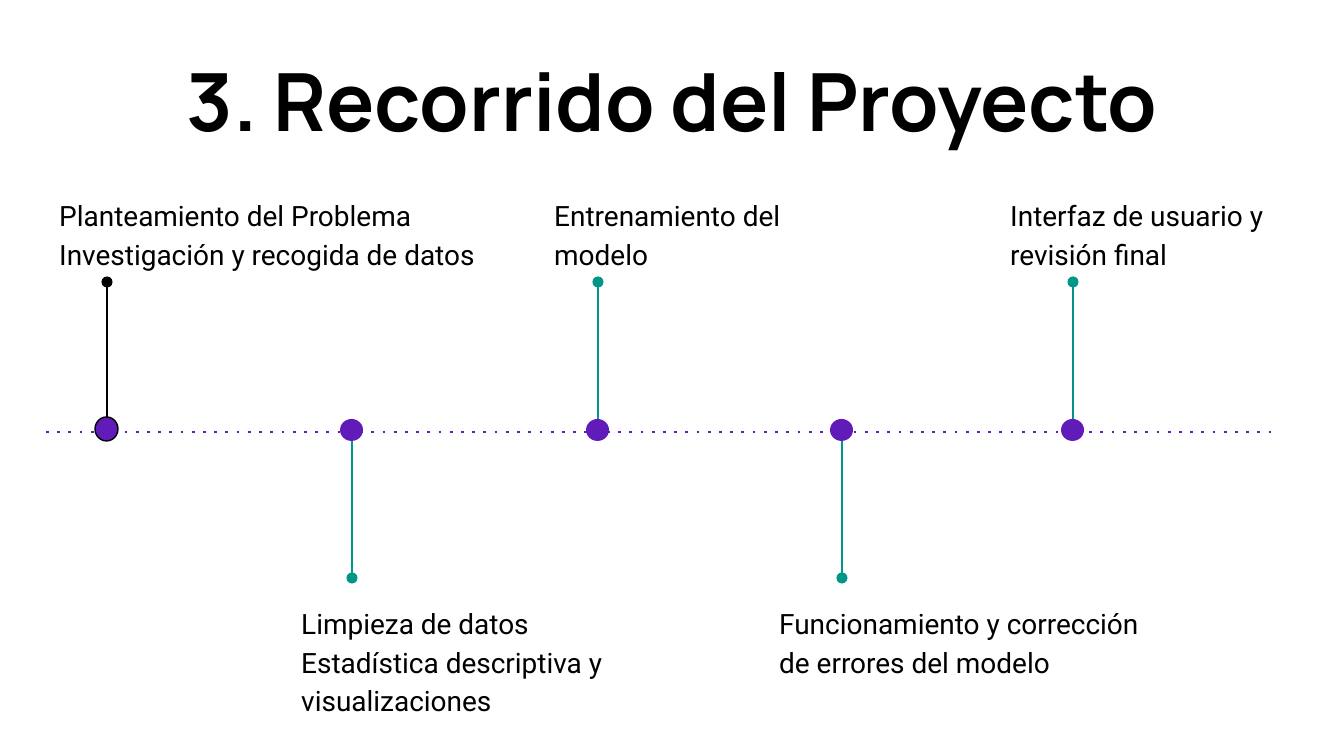
from lxml import etree
from pptx import Presentation, util as u
from pptx.dml.color import RGBColor
from pptx.enum import shapes, text
from pptx.oxml import ns

BLACK = RGBColor(0, 0, 0)
PURPLE = RGBColor(0x61, 0x1B, 0xB8)
TEAL = RGBColor(0x00, 0x96, 0x88)
SCALE = 914400 / 134.4


def px(n):
    return u.Emu(round(n * SCALE))


class Deck:
    def __init__(self, wide, high):
        self.prs = Presentation()
        self.prs.slide_width, self.prs.slide_height = px(wide), px(high)
        self.slide = self.prs.slides.add_slide(self.prs.slide_layouts[6])

    def label(self, box, lines, font="Roboto", size=15, bold=False,
              align=text.PP_ALIGN.LEFT, space=1.15):
        frame = self.slide.shapes.add_textbox(*map(px, box)).text_frame
        frame.word_wrap = True
        frame.vertical_anchor = text.MSO_ANCHOR.TOP
        frame.margin_left = frame.margin_right = u.Inches(0.1)
        frame.margin_top = frame.margin_bottom = u.Inches(0.1)
        frame.text = "\n".join(lines)
        for para in frame.paragraphs:
            para.alignment, para.line_spacing = align, space
            para.font.name, para.font.size = font, u.Pt(size)
            para.font.bold, para.font.color.rgb = bold, BLACK

    def line(self, home, start, end, color, dash=None, tail=None):
        rule = home.shapes.add_connector(
            shapes.MSO_CONNECTOR.STRAIGHT, *map(px, start + end))
        rule.line.color.rgb, rule.line.width = color, u.Pt(1.5)
        ln = rule.line._get_or_add_ln()
        for tag, key, val in (("a:prstDash", "val", dash),
                              ("a:tailEnd", "type", tail)):
            if val:
                etree.SubElement(ln, ns.qn(tag)).set(key, val)
        etree.SubElement(rule._element.spPr, ns.qn("a:effectLst"))

    def dot(self, home, box, edge=None):
        disc = home.shapes.add_shape(shapes.MSO_SHAPE.OVAL, *map(px, box))
        disc.shadow.inherit = False
        disc.fill.solid()
        disc.fill.fore_color.rgb = PURPLE
        if edge is None:
            disc.line.fill.background()
        else:
            disc.line.color.rgb, disc.line.width = edge, u.Pt(0.75)

    def stage(self, x, up, first=False):
        group = self.slide.shapes.add_group_shape()
        top = 417 if first else 419
        start, end = (top, 282) if up else (441, 578)
        disc = (x - 12, top, 23, 441 - top)
        if first:
            self.dot(group, disc, BLACK)
        self.line(group, (x, start), (x, end), BLACK if first else TEAL,
                  tail="oval")
        if not first:
            self.dot(group, disc)


deck = Deck(1344, 756)

# Title and time axis
deck.label((46, 38, 1252, 91), ["3. Recorrido del Proyecto"], "Manrope", 43,
           True, text.PP_ALIGN.CENTER, 1.0)
deck.line(deck.slide, (46, 432), (1272, 432), PURPLE, dash="dot")

# Stages: stem x, text left, text width, lines; they alternate up and down
STAGES = [
    (107, 46, 446, ["Planteamiento del Problema",
                    "Investigación y recogida de datos"]),
    (352, 288, 391, ["Limpieza de datos",
                     "Estadística descriptiva y visualizaciones"]),
    (598, 541, 324, ["Entrenamiento del modelo"]),
    (842, 766, 391, ["Funcionamiento y corrección de errores del modelo"]),
    (1073, 997, 324, ["Interfaz de usuario y revisión final"]),
]
for i, (x, left, wide, lines) in enumerate(STAGES):
    up = i % 2 == 0
    deck.stage(x, up, first=i == 0)
    top, high = (180, 103) if up else (588, 142)
    deck.label((left, top, wide, high), lines)

deck.prs.save("out.pptx")
